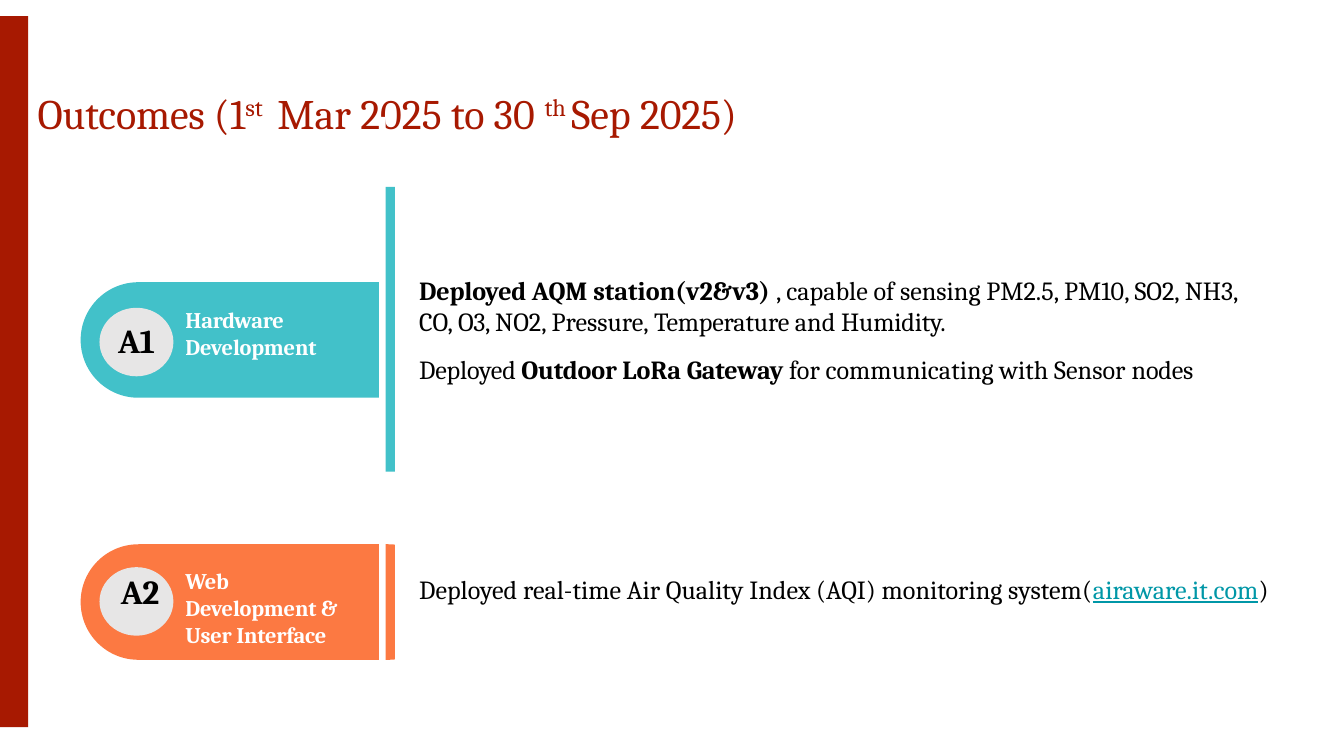
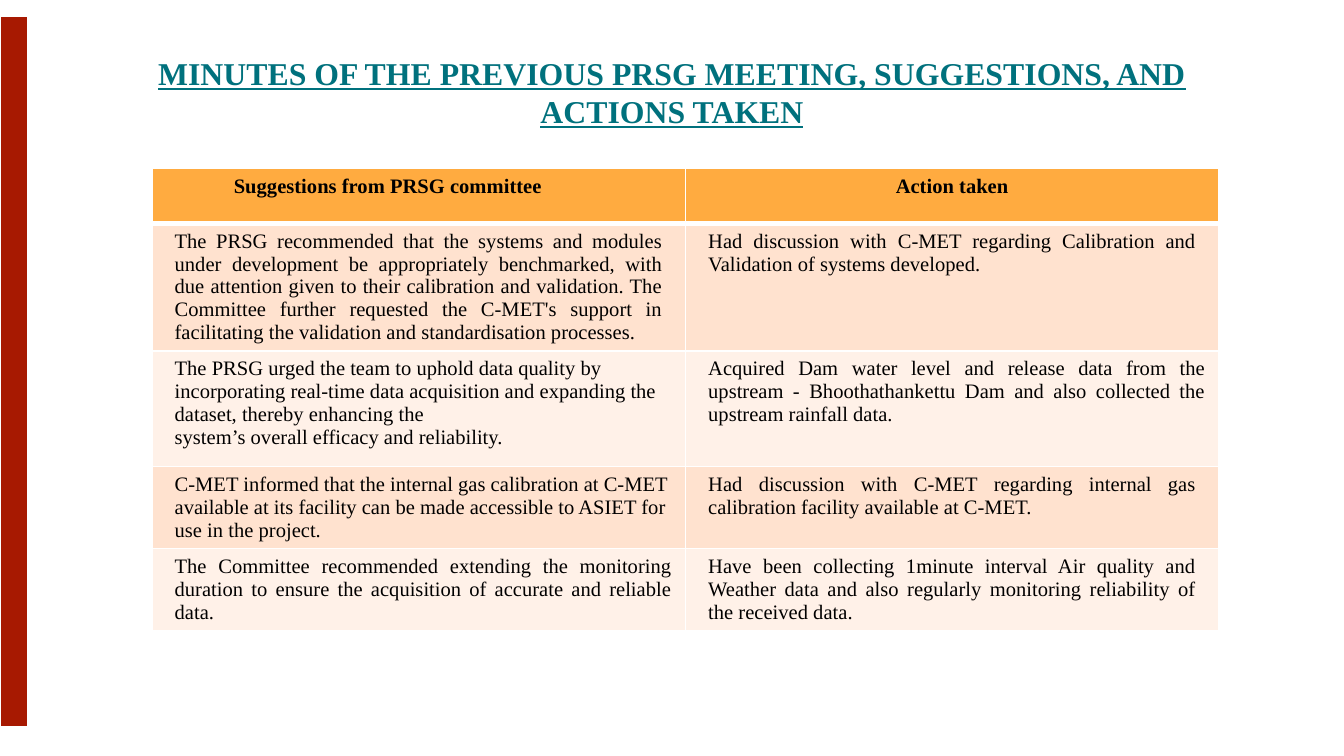
from dataclasses import dataclass

from lxml import etree
from pptx import Presentation
from pptx.dml.color import RGBColor
from pptx.enum.shapes import MSO_SHAPE
from pptx.enum.text import MSO_ANCHOR, MSO_AUTO_SIZE, PP_ALIGN
from pptx.oxml.ns import qn
from pptx.util import Inches, Pt

RECTANGLE = MSO_SHAPE.RECTANGLE
PILL = MSO_SHAPE.ROUNDED_RECTANGLE
OVAL = MSO_SHAPE.OVAL
LEFT, CENTER, JUSTIFY = PP_ALIGN.LEFT, PP_ALIGN.CENTER, PP_ALIGN.JUSTIFY


@dataclass(frozen=True)
class Theme:
    # Colours
    red: str = "A71901"
    teal: str = "42C1C9"
    orange: str = "FC7942"
    gray: str = "E7E6E6"
    white: str = "FFFFFF"
    black: str = "000000"
    link: str = "0097A7"
    heading: str = "00717D"
    header_fill: str = "FFAB40"
    row_fills: tuple = ("FFE2CF", "FFF1E8")
    # Fonts and sizes
    outcome_font: str = "Cambria"
    minutes_font: str = "Times New Roman"
    outcome_title: float = 22.5
    minutes_title: float = 17
    badge: float = 18
    body: float = 14
    label: float = 12
    table: float = 11


THEME = Theme()
TIGHT = {"tracking": -0.1}
TIGHT_BOLD = {"tracking": -0.1, "bold": True}

OUTCOMES_TITLE = [
    ("Outcomes ", TIGHT), ("(1", {}), ("st ", {"baseline": 30}),
    (" Mar 2025 to 30 ", {}), ("th ", {"baseline": 31}), ("Sep ", {}),
    ("2025)", TIGHT),
]
HARDWARE_OUTCOMES = [
    [("Deployed ", TIGHT_BOLD), ("AQM station(v2&v3) ", {"bold": True}),
     (", capable of sensing PM2.5, PM10, SO2, NH3, CO, ", {}),
     ("O3, ", {"tracking": -0.2}), ("NO2, Pressure, ", {}),
     ("Temperature ", TIGHT), ("and ", {}), ("Humidity.", TIGHT)],
    [("Deployed ", TIGHT), ("Outdoor ", TIGHT_BOLD), ("LoRa ", {"bold": True}),
     ("Gateway ", TIGHT_BOLD), ("for communicating with Sensor ", {}),
     ("nodes", TIGHT)],
]
WEB_OUTCOMES = [
    [("Deployed real-time Air Quality Index (AQI) monitoring system(", {}),
     ("airaware.it.com", {"color": THEME.link, "underline": True}), (")", {})],
]

# Each cell: text, alignment, right margin
MINUTES_ROWS = [
    [("The PRSG recommended that the systems and modules under development be "
      "appropriately benchmarked, with due attention given to their calibration "
      "and validation. The Committee further requested the C-MET's support in "
      "facilitating the validation and standardisation processes.", JUSTIFY, 0.17),
     ("Had discussion with C-MET regarding Calibration and Validation of systems "
      "developed.", JUSTIFY, 0.17)],
    [("The PRSG urged the team to uphold data quality by incorporating real-time "
      "data acquisition and expanding the dataset, thereby enhancing the\n"
      "system’s overall efficacy and reliability.", LEFT, 0.1),
     ("Acquired Dam water level and release data from the upstream - "
      "Bhoothathankettu Dam and also collected the upstream rainfall data.",
      JUSTIFY, 0.1)],
    [("C-MET informed that the internal gas calibration at C-MET available at its "
      "facility can be made accessible to ASIET for use in the project.", LEFT, 0.1),
     ("Had discussion with C-MET regarding internal gas calibration facility "
      "available at C-MET.", JUSTIFY, 0.17)],
    [("The Committee recommended extending the monitoring duration to ensure the "
      "acquisition of accurate and reliable data.", JUSTIFY, 0.1),
     ("Have been collecting 1minute interval Air quality and Weather data and also "
      "regularly monitoring reliability of the received data.", JUSTIFY, 0.17)],
]
ROW_HEIGHTS = [0.41, 0.95, 0.86, 0.61, 0.61]


def rgb(color):
    return RGBColor.from_string(color)


def style_run(run, font, size, color=THEME.black, bold=False, underline=False,
              baseline=0, tracking=0):
    run.font.name = font
    run.font.size = Pt(size)
    run.font.color.rgb = rgb(color)
    run.font.bold = bold
    run.font.underline = underline
    properties = run._r.get_or_add_rPr()
    if baseline:
        properties.set("baseline", str(baseline * 1000))
    if tracking:
        properties.set("spc", str(round(tracking * 100)))


def fill_paragraph(paragraph, pieces, font, size, **base):
    """Write (text, style) pieces as runs sharing a base style."""
    for text, style in pieces:
        run = paragraph.add_run()
        run.text = text
        style_run(run, font, size, **{**base, **style})


def set_insets(frame, left, top, right, bottom):
    frame.margin_left, frame.margin_top = Inches(left), Inches(top)
    frame.margin_right, frame.margin_bottom = Inches(right), Inches(bottom)


def add_block(slide, kind, left, top, width, height, color, outline=None):
    shape = slide.shapes.add_shape(kind, Inches(left), Inches(top),
                                   Inches(width), Inches(height))
    shape.shadow.inherit = False
    shape.fill.solid()
    shape.fill.fore_color.rgb = rgb(color)
    if outline:
        shape.line.color.rgb = rgb(outline)
        shape.line.width = Pt(0.75)
    else:
        shape.line.fill.background()
    return shape


def add_side_band(slide, outline=None):
    add_block(slide, RECTANGLE, 0, 0.12, 0.21, 5.29, THEME.red, outline)


def add_text(slide, left, top, width, height, paragraphs, size, spacing=None,
             right_inset=0, **style):
    box = slide.shapes.add_textbox(Inches(left), Inches(top),
                                   Inches(width), Inches(height))
    frame = box.text_frame
    frame.word_wrap = True
    set_insets(frame, 0.01, 0.01, right_inset, 0)
    for index, pieces in enumerate(paragraphs):
        paragraph = frame.add_paragraph() if index else frame.paragraphs[0]
        if index:
            paragraph.space_before = Pt(9)
        if spacing:
            paragraph.line_spacing = spacing
        fill_paragraph(paragraph, pieces, THEME.outcome_font, size, **style)


def place_title(slide, left, top, width, height, insets, alignment):
    title = slide.shapes.title
    title.left, title.top = Inches(left), Inches(top)
    title.width, title.height = Inches(width), Inches(height)
    frame = title.text_frame
    frame.word_wrap = True
    frame.auto_size = MSO_AUTO_SIZE.NONE
    frame.vertical_anchor = MSO_ANCHOR.TOP
    set_insets(frame, *insets)
    frame.paragraphs[0].alignment = alignment
    return frame.paragraphs[0]


def add_tab(slide, top, color, gap_top, circle_top):
    """A pill cut by a white gap, with a round badge."""
    pill = add_block(slide, PILL, 0.6, top, 2.72, 0.86, color)
    pill.adjustments[0] = 0.5
    add_block(slide, RECTANGLE, 2.82, gap_top, 0.05, 4.29, THEME.white)
    add_block(slide, OVAL, 0.74, circle_top, 0.55, 0.51, THEME.gray)


def add_tab_text(slide, badge, badge_left, badge_top, label, label_top,
                 label_width, label_height):
    add_text(slide, badge_left, badge_top, 0.33, 0.31, [[(badge, {})]],
             THEME.badge, bold=True, tracking=-0.2)
    add_text(slide, 1.37, label_top, label_width, label_height, [[(label, {})]],
             THEME.label, color=THEME.white, bold=True, tracking=-0.1)


def set_borders(cell, bottom):
    properties = cell._tc.get_or_add_tcPr()
    sides = {"lnL": 1, "lnR": 1, "lnT": 1, "lnB": bottom}
    for index, (side, width) in enumerate(sides.items()):
        line = etree.Element(qn(f"a:{side}"), w=str(Pt(width)))
        fill = etree.SubElement(line, qn("a:solidFill"))
        etree.SubElement(fill, qn("a:srgbClr"), val=THEME.white)
        properties.insert(index, line)


def fill_cell(cell, text, alignment, left, right, color, bold=False, bottom=1):
    cell.fill.solid()
    cell.fill.fore_color.rgb = rgb(color)
    set_insets(cell, left, 0.05, right, 0.05)
    set_borders(cell, bottom)
    cell.text_frame.text = text
    for paragraph in cell.text_frame.paragraphs:
        paragraph.alignment = alignment
        for run in paragraph.runs:
            style_run(run, THEME.minutes_font, THEME.table, bold=bold)


def add_minutes_table(slide):
    table = slide.shapes.add_table(
        len(ROW_HEIGHTS), 2, Inches(1.13), Inches(1.25),
        Inches(7.94), Inches(sum(ROW_HEIGHTS))).table
    for row, height in zip(table.rows, ROW_HEIGHTS):
        row.height = Inches(height)

    headers = [("Suggestions from PRSG committee", LEFT, 0.61),
               ("Action taken", CENTER, 0.1)]
    for column, (text, alignment, left) in enumerate(headers):
        fill_cell(table.cell(0, column), text, alignment, left, 0.1,
                  THEME.header_fill, bold=True, bottom=3)
    for index, cells in enumerate(MINUTES_ROWS):
        for column, (text, alignment, right) in enumerate(cells):
            fill_cell(table.cell(index + 1, column), text, alignment, 0.17, right,
                      THEME.row_fills[index % 2])


def build_outcomes(slide):
    # Tabs, accent bar and the white panel that trims them
    add_tab(slide, 2.1, THEME.teal, 1.23, 2.29)
    add_side_band(slide)
    add_block(slide, RECTANGLE, 2.86, 1.39, 0.08, 2.12, THEME.teal)
    add_tab(slide, 4.05, THEME.orange, 0.87, 4.22)
    add_block(slide, RECTANGLE, 2.94, 1.12, 0.87, 4.42, THEME.white)

    # Title and texts
    title = place_title(slide, 0.26, 0.37, 6.99, 0.68, (0.02, 0.28, 0, 0), LEFT)
    fill_paragraph(title, OUTCOMES_TITLE, THEME.outcome_font,
                   THEME.outcome_title, color=THEME.red)
    add_tab_text(slide, "A1", 0.87, 2.37, "Hardware Development", 2.27, 1.04, 0.41)
    add_tab_text(slide, "A2", 0.89, 4.24, "Web Development & User Interface",
                 4.21, 1.2, 0.62)
    add_text(slide, 3.11, 2.03, 6.77, 0.84, HARDWARE_OUTCOMES, THEME.body,
             right_inset=0.4)
    add_text(slide, 3.11, 4.22, 6.94, 0.26, WEB_OUTCOMES, THEME.body, spacing=1.15)


def build_minutes(slide):
    add_side_band(slide, outline=THEME.white)
    title = place_title(slide, 0.69, 0.3, 8.62, 1.09, (0.1,) * 4, CENTER)
    title.text = ("MINUTES OF THE PREVIOUS PRSG MEETING, SUGGESTIONS, "
                  "AND ACTIONS TAKEN")
    style_run(title.runs[0], THEME.minutes_font, THEME.minutes_title,
              THEME.heading, bold=True, underline=True)
    add_minutes_table(slide)


def main():
    presentation = Presentation()
    presentation.slide_width = Inches(10)
    presentation.slide_height = presentation.slide_width * 9 // 16
    title_only = presentation.slide_layouts[5]
    for build in (build_outcomes, build_minutes):
        build(presentation.slides.add_slide(title_only))
    presentation.save("out.pptx")


if __name__ == "__main__":
    main()
